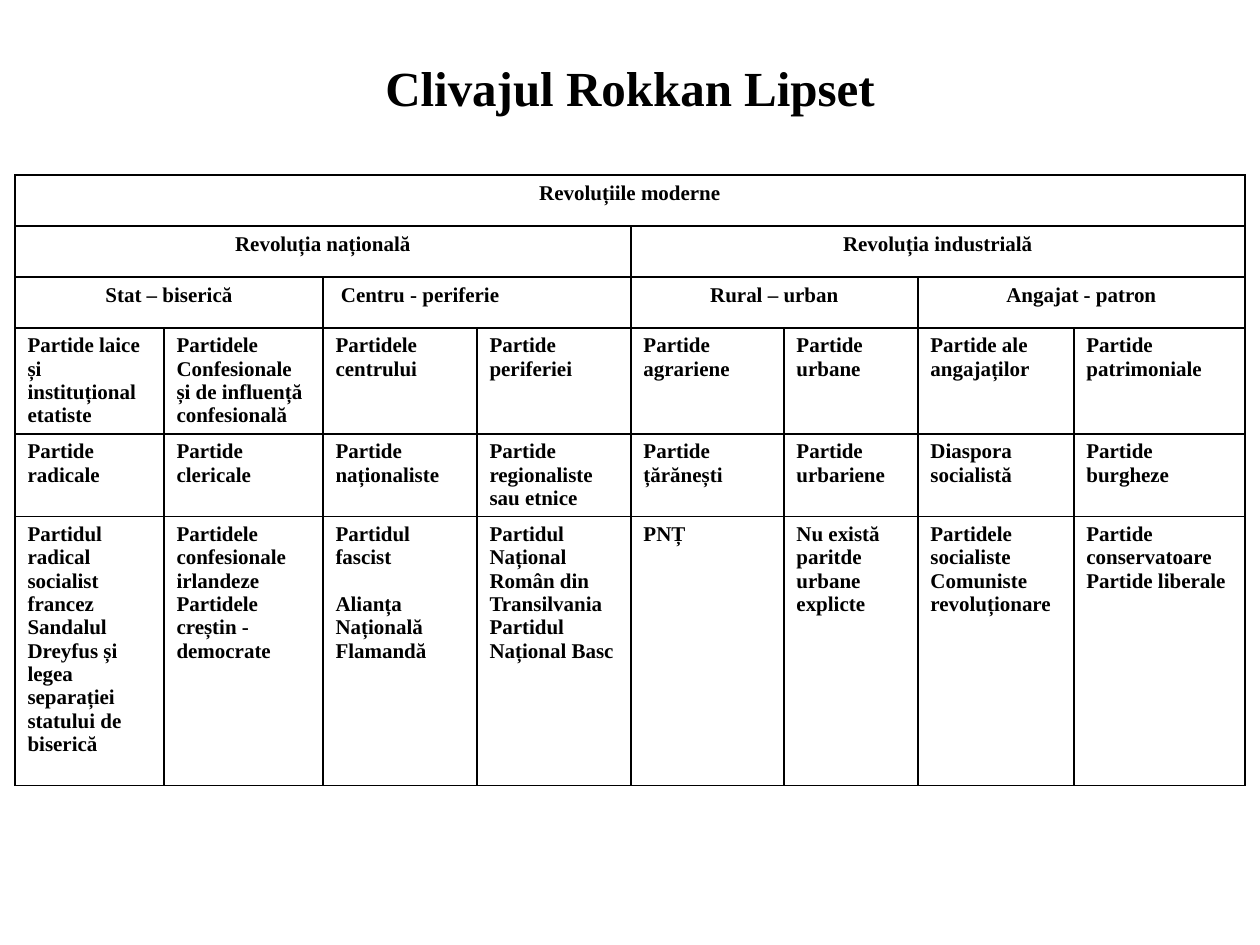
from lxml import etree
from pptx import Presentation
from pptx.dml.color import RGBColor
from pptx.enum.text import MSO_ANCHOR, PP_ALIGN
from pptx.oxml.ns import qn
from pptx.util import Pt

BLACK = RGBColor(0, 0, 0)
WHITE = RGBColor(255, 255, 255)
LEFT, CENTER = PP_ALIGN.LEFT, PP_ALIGN.CENTER
TOP, MIDDLE = MSO_ANCHOR.TOP, MSO_ANCHOR.MIDDLE
FONT = "Times New Roman"
PIXELS_PER_INCH = 126
TITLE_ONLY = 5


def px(pixels):
    return round(pixels * 914400 / PIXELS_PER_INCH)


def write(frame, text, size=12, bold=True, color=BLACK, align=LEFT, gap=0):
    """Put each line of text in a paragraph; gap is the space between them."""
    for index, line in enumerate(text.split("\n")):
        para = frame.paragraphs[0] if index == 0 else frame.add_paragraph()
        para.alignment = align
        para.space_before = Pt(gap if index == 1 else 0)
        span = para.add_run()
        span.text = line
        span.font.name = FONT
        span.font.size = Pt(size)
        span.font.bold = bold
        span.font.color.rgb = color


class PageBuilder:
    def __init__(self, page, line_color=BLACK, line_width=1, fill=WHITE):
        self.page = page
        self.line_color = line_color
        self.line_width = line_width
        self.fill = fill

    def title(self, text, left, top, width, height, **style):
        box = self.page.shapes.title
        box.left, box.top, box.width, box.height = map(px, (left, top, width, height))
        box.text_frame.word_wrap = True
        box.text_frame.vertical_anchor = MIDDLE
        write(box.text_frame, text, align=CENTER, **style)

    def table(self, left, top, widths, heights):
        frame = self.page.shapes.add_table(
            len(heights), len(widths), px(left), px(top),
            px(sum(widths)), px(sum(heights)))
        table = frame.table
        table.first_row = table.horz_banding = False
        for column, width in zip(table.columns, widths):
            column.width = px(width)
        for row, height in zip(table.rows, heights):
            row.height = px(height)
        for cell in table.iter_cells():
            self.borders(cell)
            cell.fill.solid()
            cell.fill.fore_color.rgb = self.fill
            cell.vertical_anchor = TOP
        return table

    def borders(self, cell):
        properties = cell._tc.get_or_add_tcPr()
        for side in ("a:lnL", "a:lnR", "a:lnT", "a:lnB"):
            line = etree.SubElement(properties, qn(side), w=str(Pt(self.line_width)))
            solid = etree.SubElement(line, qn("a:solidFill"))
            etree.SubElement(solid, qn("a:srgbClr"), val=str(self.line_color))


deck = Presentation()
deck.slide_width, deck.slide_height = px(1260), px(945)
page = deck.slides.add_slide(deck.slide_layouts[TITLE_ONLY])
builder = PageBuilder(page)
builder.title("Clivajul Rokkan Lipset", 63, 38, 1134, 97, size=28)

# Table grid
COLUMN_WIDTHS = [149, 159, 154, 154, 153, 134, 156, 171]
ROW_HEIGHTS = [51, 51, 51, 106, 82, 269]
table = builder.table(15, 175, COLUMN_WIDTHS, ROW_HEIGHTS)

# Merged headings: each level splits the columns evenly
HEADINGS = [
    ["Revoluțiile moderne"],
    ["Revoluția națională", "Revoluția industrială"],
    ["Stat – biserică", "Centru - periferie", "Rural – urban", "Angajat - patron"],
]
LEFT_HEADING = "Centru - periferie"
for row, headings in enumerate(HEADINGS):
    reach = len(COLUMN_WIDTHS) // len(headings)
    for index, heading in enumerate(headings):
        cell = table.cell(row, index * reach)
        cell.merge(table.cell(row, (index + 1) * reach - 1))
        align = CENTER
        if heading == LEFT_HEADING:
            align = LEFT
            cell.margin_left = px(18)
        write(cell.text_frame, heading, align=align)

# Parties under each cleavage
PARTIES = [
    ["Partide laice și instituțional etatiste",
     "Partidele\nConfesionale și de influență confesională",
     "Partidele\ncentrului", "Partide periferiei", "Partide agrariene",
     "Partide urbane", "Partide ale angajaților", "Partide patrimoniale"],
    ["Partide radicale", "Partide clericale", "Partide\nnaționaliste",
     "Partide regionaliste sau etnice", "Partide țărănești",
     "Partide\nurbariene", "Diaspora socialistă", "Partide burgheze"],
    ["Partidul radical socialist francez\n"
     "Sandalul Dreyfus și legea separației statului de biserică",
     "Partidele\nconfesionale irlandeze\nPartidele creștin -\ndemocrate",
     "Partidul fascist\nAlianța\nNațională Flamandă",
     "Partidul Național Român din Transilvania\nPartidul Național Basc",
     "PNȚ", "Nu există paritde urbane explicte",
     "Partidele socialiste\nComuniste revoluționare",
     "Partide conservatoare\nPartide liberale"],
]
LINE_GAP = 13.3
for row, parties in enumerate(PARTIES, start=len(HEADINGS)):
    for column, party in enumerate(parties):
        gap = LINE_GAP if party.startswith("Partidul fascist") else 0
        write(table.cell(row, column).text_frame, party, gap=gap)

deck.save("out.pptx")
